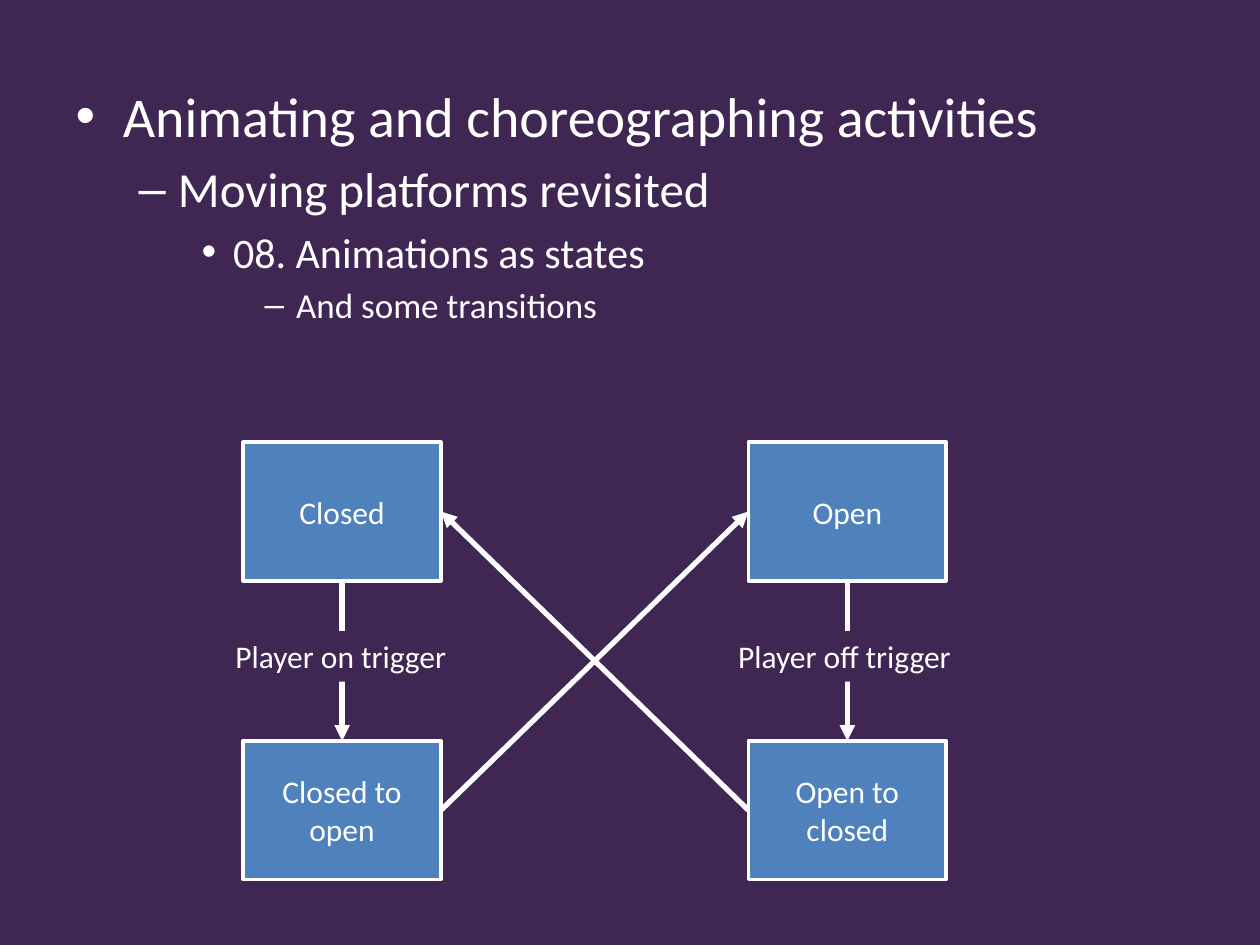
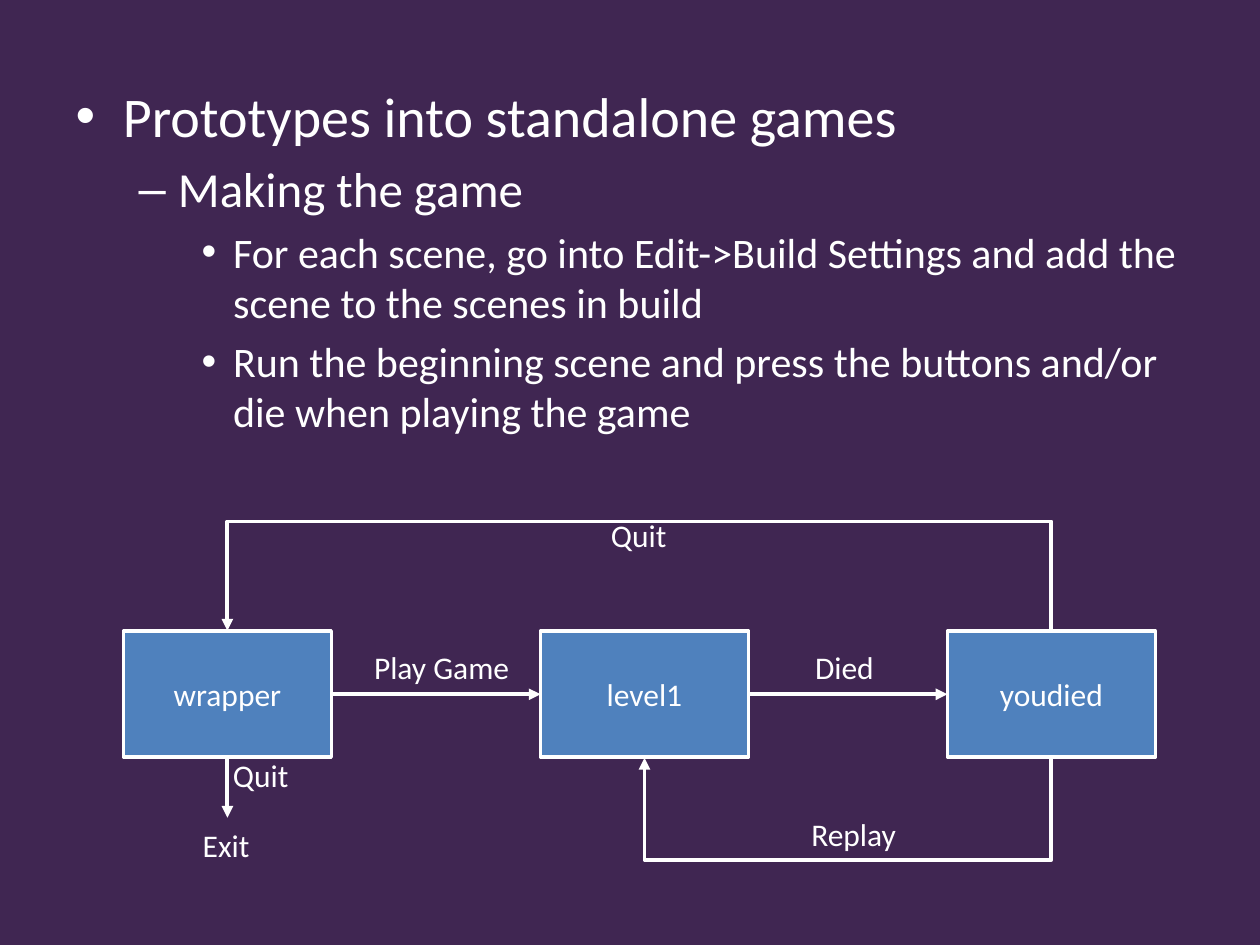
from pptx import Presentation
from pptx.dml.color import RGBColor
from pptx.enum.shapes import MSO_CONNECTOR, MSO_SHAPE
from pptx.enum.text import MSO_ANCHOR, MSO_AUTO_SIZE, PP_ALIGN
from pptx.oxml.ns import qn
from pptx.util import Inches, Pt
from lxml import etree

RECT = MSO_SHAPE.RECTANGLE
STRAIGHT, ELBOW = MSO_CONNECTOR.STRAIGHT, MSO_CONNECTOR.ELBOW
CENTER, MIDDLE = PP_ALIGN.CENTER, MSO_ANCHOR.MIDDLE
FIXED, GROW = MSO_AUTO_SIZE.NONE, MSO_AUTO_SIZE.SHAPE_TO_FIT_TEXT

FONT = "Calibri"
PURPLE, BLUE, WHITE = "402652", "4F81BD", "FFFFFF"
SIZES = [32, 28, 24, 20]  # by list level
TOP, LEFT, BOTTOM, RIGHT = range(4)  # connection sites of a box

# Lists: (level, text)
STATE_LIST = [
    (0, "Animating and choreographing activities"),
    (1, "Moving platforms revisited"),
    (2, "08. Animations as states"),
    (3, "And some transitions"),
]
GAME_LIST = [
    (0, "Prototypes into standalone games"),
    (1, "Making the game"),
    (2, "For each scene, go into Edit->Build Settings and add the scene "
        "to the scenes in build"),
    (2, "Run the beginning scene and press the buttons and/or die when "
        "playing the game"),
]

# State diagram: grid of boxes, name -> (column, row)
STATES = {
    "Open": (1, 0), "Closed": (0, 0),
    "Open to closed": (1, 1), "Closed to open": (0, 1),
}
STATE_X, STATE_Y = [1.93, 5.94], [3.51, 5.88]
STATE_W, STATE_H = 1.57, 1.1
MOVES = [
    ("Closed", BOTTOM, "Closed to open", TOP),
    ("Closed to open", RIGHT, "Open", LEFT),
    ("Open", BOTTOM, "Open to closed", TOP),
    ("Open to closed", LEFT, "Closed", RIGHT),
]
TRIGGERS = [("Player on trigger", 1.77, 1.89), ("Player off trigger", 5.76, 1.91)]
TRIGGER_Y = 5.01

# Scene diagram: one row of boxes, name -> left edge
SCENES = {"wrapper": 0.98, "level1": 4.29, "youdied": 7.52}
SCENE_Y, SCENE_W, SCENE_H = 5.01, 1.65, 1.0
SCENE_LABELS = [
    ("Exit", 1.51, 6.51, 0.58),
    ("Play Game", 2.87, 5.09, 1.29),
    ("Quit", 4.75, 4.05, 0.65),
    ("Died", 6.37, 5.09, 0.68),
    ("Replay", 6.34, 6.42, 0.88),
    ("Quit", 1.75, 5.95, 0.65),
]
EXIT_Y = 6.49
QUIT_RISE, REPLAY_DROP = 0.89, 0.83


def color(code):
    return RGBColor.from_string(code)


def style(par, size):
    for run in par.runs:
        run.font.name = FONT
        run.font.size = Pt(size)
        run.font.color.rgb = color(WHITE)


def add_slide(prs, items):
    slide = prs.slides.add_slide(prs.slide_layouts[1])
    title = slide.shapes.title._element
    title.getparent().remove(title)
    body = slide.placeholders[1]
    body.left, body.top, body.width, body.height = map(Inches, (0.5, 0.6, 9, 6.9))
    frame = body.text_frame
    frame.auto_size = FIXED
    frame.text = "\n".join(text for _, text in items)
    frame.paragraphs[0].space_before = Pt(0)
    for par, (level, _) in zip(frame.paragraphs, items):
        par.level = level
        style(par, SIZES[level])
    return slide


def add_box(slide, text, x, y, w, h):
    box = slide.shapes.add_shape(RECT, *map(Inches, (x, y, w, h)))
    box.shadow.inherit = False
    box.fill.solid()
    box.fill.fore_color.rgb = color(BLUE)
    box.line.color.rgb = color(WHITE)
    box.line.width = Pt(2)
    frame = box.text_frame
    frame.text = text
    frame.vertical_anchor = MIDDLE
    par = frame.paragraphs[0]
    par.alignment = CENTER
    style(par, 18)
    return box


def add_label(slide, text, x, y, w, fill=None):
    label = slide.shapes.add_textbox(*map(Inches, (x, y, w, 0.4)))
    if fill:
        label.fill.solid()
        label.fill.fore_color.rgb = color(fill)
    frame = label.text_frame
    frame.word_wrap = False
    frame.auto_size = GROW
    frame.text = text
    style(frame.paragraphs[0], 18)


def add_arrow(slide, kind, width, x1=0, y1=0, x2=0, y2=0):
    arrow = slide.shapes.add_connector(kind, *map(Inches, (x1, y1, x2, y2)))
    arrow.line.color.rgb = color(WHITE)
    arrow.line.width = Pt(width)
    props = arrow._element.spPr
    etree.SubElement(props.find(qn("a:ln")), qn("a:tailEnd"), type="triangle")
    etree.SubElement(props, qn("a:effectLst"))
    return arrow


def link(slide, width, start, out, end, into):
    arrow = add_arrow(slide, STRAIGHT, width)
    arrow.begin_connect(start, out)
    arrow.end_connect(end, into)


def add_loop(slide, start, end, y, reach, up):
    """Elbow arrow from x start back to x end, bending reach away from y."""
    thin, span, mid = 0.01, start - end, (start + end) / 2
    x, ends = mid - thin / 2, [y - span / 2, y + span / 2]
    if up:
        ends.reverse()
    arrow = add_arrow(slide, ELBOW, 2.25, x, ends[0], x + thin, ends[1])
    props = arrow._element.spPr
    props.find(qn("a:xfrm")).set("rot", str((270 if up else 90) * 60000))
    geom = props.find(qn("a:prstGeom"))
    guides = geom.find(qn("a:avLst"))
    if guides is None:
        guides = etree.SubElement(geom, qn("a:avLst"))
    bend = round(reach / thin * 100000)
    etree.SubElement(guides, qn("a:gd"), name="adj1", fmla=f"val {bend}")


def draw_states(prs):
    slide = add_slide(prs, STATE_LIST)
    boxes = {
        name: add_box(slide, name, STATE_X[col], STATE_Y[row], STATE_W, STATE_H)
        for name, (col, row) in STATES.items()
    }
    for start, out, end, into in MOVES:
        link(slide, 3, boxes[start], out, boxes[end], into)
    for text, x, w in TRIGGERS:
        add_label(slide, text, x, TRIGGER_Y, w, PURPLE)


def draw_scenes(prs):
    slide = add_slide(prs, GAME_LIST)
    boxes = [add_box(slide, name, x, SCENE_Y, SCENE_W, SCENE_H)
             for name, x in SCENES.items()]
    for start, end in zip(boxes, boxes[1:]):
        link(slide, 2.25, start, RIGHT, end, LEFT)
    first, second, third = (x + SCENE_W / 2 for x in SCENES.values())
    base = SCENE_Y + SCENE_H
    add_loop(slide, third, first, SCENE_Y, QUIT_RISE, True)
    add_loop(slide, third, second, base, REPLAY_DROP, False)
    add_arrow(slide, STRAIGHT, 2.25, first, base, first, EXIT_Y)
    for text, x, y, w in SCENE_LABELS:
        add_label(slide, text, x, y, w)


def main():
    prs = Presentation()
    prs.slide_width, prs.slide_height = Inches(10), Inches(7.5)
    back = prs.slide_master.background.fill
    back.solid()
    back.fore_color.rgb = color(PURPLE)
    draw_states(prs)
    draw_scenes(prs)
    prs.save("out.pptx")


if __name__ == "__main__":
    main()
